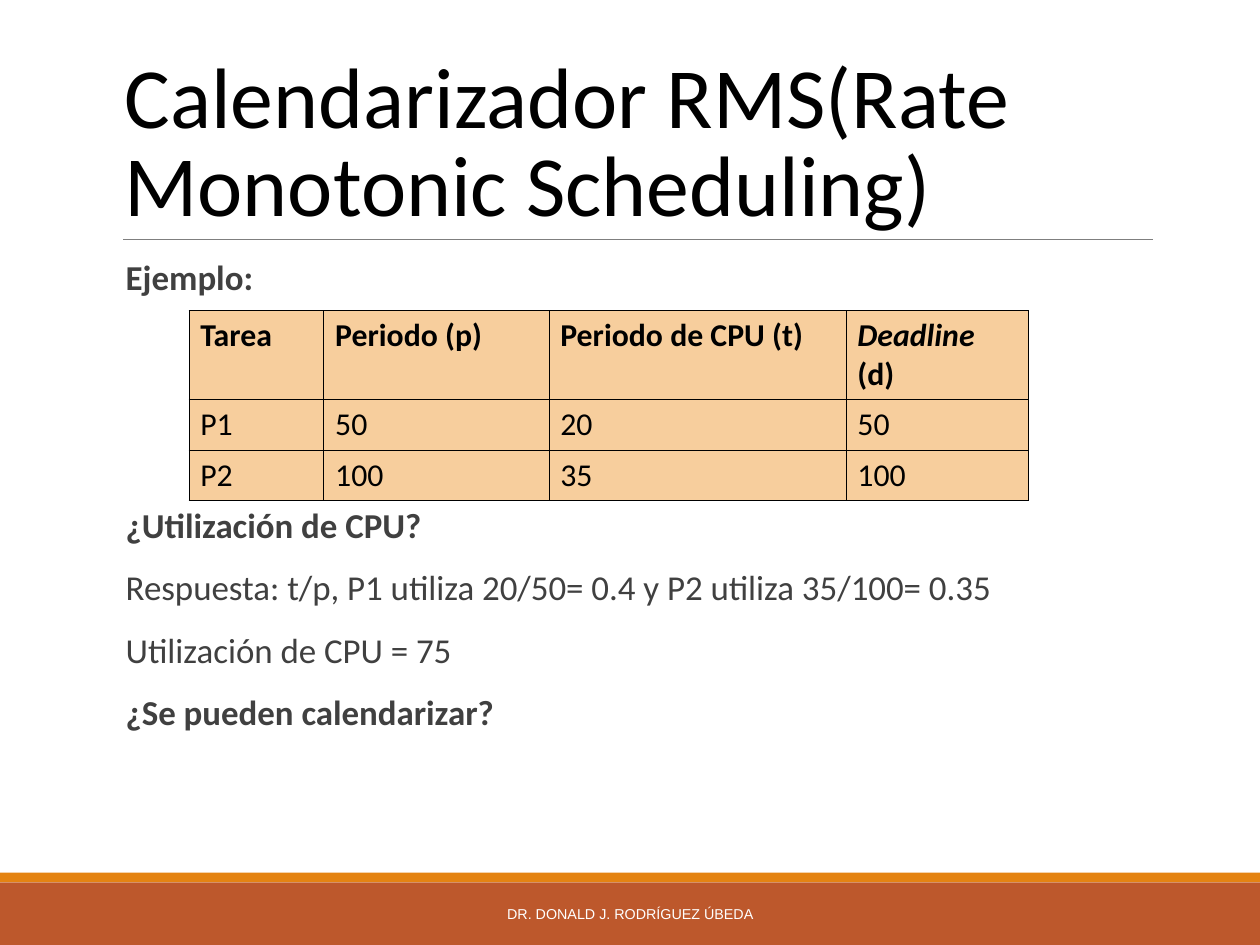
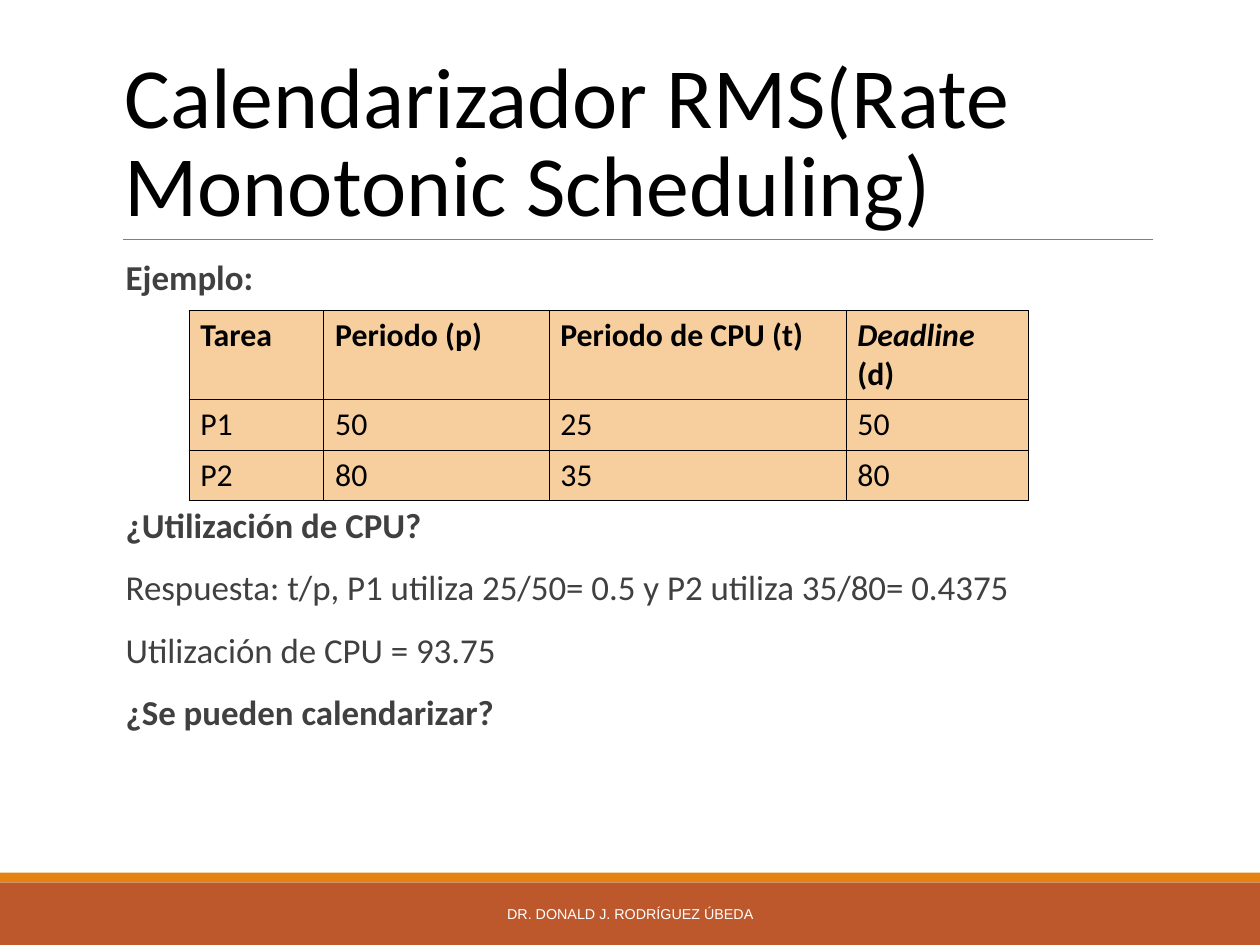
from lxml.etree import SubElement
from pptx import Presentation
from pptx.dml.color import RGBColor
from pptx.enum.shapes import MSO_CONNECTOR, MSO_SHAPE
from pptx.enum.text import MSO_ANCHOR, MSO_AUTO_SIZE, PP_ALIGN
from pptx.oxml import parse_xml
from pptx.oxml.ns import nsdecls, qn
from pptx.util import Pt

RUST = RGBColor(0xBD, 0x58, 0x2C)
ORANGE = RGBColor(0xE4, 0x83, 0x12)
PEACH = RGBColor(0xF7, 0xCE, 0x9D)
GRAY = RGBColor(0x7F, 0x7F, 0x7F)
DARK = RGBColor(0x40, 0x40, 0x40)
BLACK = RGBColor(0, 0, 0)
WHITE = RGBColor(0xFF, 0xFF, 0xFF)

WIDTH, HEIGHT = 793.75, 595.25
LEFT, CONTENT_WIDTH = 71.3, 655
TITLE = "Calendarizador RMS(Rate Monotonic Scheduling)"
FOOTER = "DR. DONALD J. RODRÍGUEZ ÚBEDA"
HEADER = ["Tarea", "Periodo (p)", "Periodo de CPU (t)", "Deadline (d)"]
COL_WIDTHS = [85, 141.8, 187.2, 115]
ROW_HEIGHTS = [56.2, 31.9, 31.6]
BANDS = [(555.75, 39.5, RUST), (549.75, 6, ORANGE)]  # top, height, colour

# Task name, period and CPU time for each slide
EXAMPLES = [
    [("P1", 50, 20), ("P2", 100, 35)],
    [("P1", 50, 25), ("P2", 80, 35)],
]


def style(r, size, color, bold=False, font="Calibri"):
    r.font.name = font
    r.font.size = Pt(size)
    r.font.bold = bold
    r.font.color.rgb = color


def add_body(s, top, height, lines):
    """Text box of (text, bold) paragraphs in the body style."""
    sp = s.shapes.add_textbox(Pt(LEFT), Pt(top), Pt(CONTENT_WIDTH), Pt(height))
    tf = sp.text_frame
    tf.word_wrap = True
    tf.margin_left, tf.margin_right = Pt(7.9), 0
    tf.text = "\n".join(text for text, bold in lines)
    for i, (p, (text, bold)) in enumerate(zip(tf.paragraphs, lines)):
        p.line_spacing = 0.9
        p.space_before = Pt(13.2 if i else 0)
        p.space_after = Pt(2.2)
        style(p.runs[0], 22, DARK, bold)


prs = Presentation()
prs.slide_width, prs.slide_height = Pt(WIDTH), Pt(HEIGHT)

for tasks in EXAMPLES:
    s = prs.slides.add_slide(prs.slide_layouts[5])

    # Footer bands
    for top, height, color in BANDS:
        sp = s.shapes.add_shape(MSO_SHAPE.RECTANGLE, 0, Pt(top), Pt(WIDTH), Pt(height))
        sp.shadow.inherit = False
        sp.fill.solid()
        sp.fill.fore_color.rgb = color
        sp.line.fill.background()

    # Rule under the title
    rule = s.shapes.add_connector(
        MSO_CONNECTOR.STRAIGHT, Pt(77.5), Pt(151), Pt(726.2), Pt(151))
    rule.line.color.rgb = GRAY
    rule.line.width = Pt(0.5)
    SubElement(rule.element.spPr, qn("a:effectLst"))

    # Title
    sp = s.shapes.title
    sp.left, sp.top = Pt(LEFT), Pt(25)
    sp.width, sp.height = Pt(CONTENT_WIDTH), Pt(125.8)
    tf = sp.text_frame
    tf.text = TITLE
    tf.auto_size = MSO_AUTO_SIZE.NONE
    tf.vertical_anchor = MSO_ANCHOR.BOTTOM
    p = tf.paragraphs[0]
    p.alignment = PP_ALIGN.LEFT
    p.line_spacing = 0.85
    style(p.runs[0], 54, BLACK)

    # Body text above and below the table
    shares = " y ".join(f"{name} utiliza {t}/{period}= {t / period:g}"
                        for name, period, t in tasks)
    total = 100 * sum(t / period for name, period, t in tasks)
    add_body(s, 160.5, 34, [("Ejemplo:", True)])
    add_body(s, 316.8, 192, [
        ("¿Utilización de CPU?", True),
        (f"Respuesta: t/p, {shares}", False),
        (f"Utilización de CPU = {total:g}", False),
        ("¿Se pueden calendarizar?", True),
    ])

    # Footer text
    sp = s.shapes.add_textbox(Pt(240), Pt(560.7), Pt(314), Pt(31.5))
    tf = sp.text_frame
    tf.word_wrap = True
    tf.vertical_anchor = MSO_ANCHOR.MIDDLE
    tf.text = FOOTER
    p = tf.paragraphs[0]
    p.alignment = PP_ALIGN.CENTER
    p.line_spacing = 0.94
    style(p.runs[0], 9, WHITE, font="Arial")

    # Task table: each deadline equals the period
    rows = [HEADER] + [[name, period, t, period] for name, period, t in tasks]
    table = s.shapes.add_table(
        len(rows), len(HEADER), Pt(119), Pt(195.5),
        Pt(sum(COL_WIDTHS)), Pt(sum(ROW_HEIGHTS))).table
    for col, width in zip(table.columns, COL_WIDTHS):
        col.width = Pt(width)
    for i, (row, height) in enumerate(zip(table.rows, ROW_HEIGHTS)):
        row.height = Pt(height)
        for cell, value in zip(row.cells, rows[i]):
            tcPr = cell._tc.get_or_add_tcPr()
            for side in ("lnL", "lnR", "lnT", "lnB"):
                tcPr.append(parse_xml(
                    f'<a:{side} {nsdecls("a")} w="{Pt(0.45)}"><a:solidFill>'
                    f'<a:srgbClr val="{BLACK}"/></a:solidFill></a:{side}>'))
            cell.fill.solid()
            cell.fill.fore_color.rgb = PEACH
            p = cell.text_frame.paragraphs[0]
            if value == "Deadline (d)":
                p.text = "Deadline"
                p.runs[0].font.italic = True
                p.add_run().text = " (d)"
                p.runs[1].font.italic = False
            else:
                p.text = str(value)
            for r in p.runs:
                style(r, 20, BLACK, bold=i == 0)

prs.save("out.pptx")
